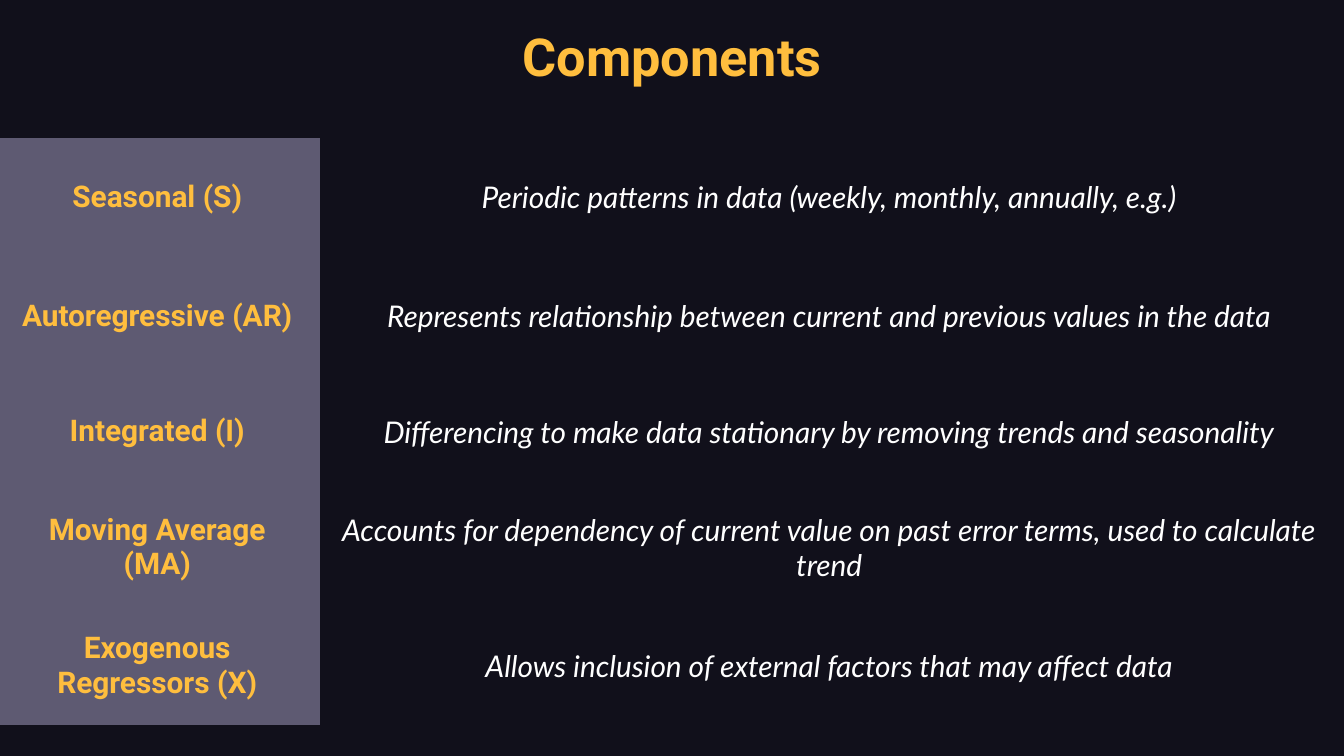
from pptx import Presentation
from pptx.dml.color import RGBColor
from pptx.enum.text import MSO_ANCHOR, PP_ALIGN
from pptx.oxml.ns import qn
from pptx.util import Pt
from lxml.etree import SubElement

COLORS = {
    "background": "11101B",
    "panel": "5E5A72",
    "accent": "FFBE3E",
    "text": "FFFFFF",
}
COMPONENTS = [
    ("Seasonal (S)", "Periodic patterns in data (weekly, monthly, annually, e.g.)"),
    ("Autoregressive (AR)",
     "Represents relationship between current and previous values in the data"),
    ("Integrated (I)",
     "Differencing to make data stationary by removing trends and seasonality"),
    ("Moving Average (MA)",
     "Accounts for dependency of current value on past error terms, used to calculate trend"),
    ("Exogenous Regressors (X)",
     "Allows inclusion of external factors that may affect data"),
]
COLUMN_WIDTHS = (171.5, 548.5)
ROW_HEIGHTS = (63.5, 63.5, 60.5, 63.5, 63.5)


class SlideBuilder:
    heading_font = "Roboto"
    body_font = "Lato"

    def __init__(self, slide):
        self.slide = slide
        background = slide.background.fill
        background.solid()
        background.fore_color.rgb = self.color("background")

    def color(self, name):
        return RGBColor.from_string(COLORS[name])

    def add_text(self, text_frame, text, size, heading):
        paragraph = text_frame.paragraphs[0]
        paragraph.alignment = PP_ALIGN.CENTER
        paragraph.space_before = Pt(0)
        paragraph.line_spacing = 1.0
        run = paragraph.add_run()
        run.text = text
        font = run.font
        font.name = self.heading_font if heading else self.body_font
        font.size = Pt(size)
        font.bold = heading
        font.italic = not heading
        font.color.rgb = self.color("accent" if heading else "text")

    def title(self, text, left, top, width, height):
        shape = self.slide.shapes.title
        shape.left, shape.top = Pt(left), Pt(top)
        shape.width, shape.height = Pt(width), Pt(height)
        frame = shape.text_frame
        frame.word_wrap = True
        frame.vertical_anchor = MSO_ANCHOR.TOP
        frame.margin_left = frame.margin_right = Pt(7.2)
        frame.margin_top = frame.margin_bottom = Pt(7.2)
        self.add_text(frame, text, 28, heading=True)

    def cell(self, cell, text, heading):
        cell.margin_left, cell.margin_right = Pt(10), Pt(13)
        cell.margin_top = cell.margin_bottom = Pt(7.2)
        cell.vertical_anchor = MSO_ANCHOR.MIDDLE
        # Hide the cell borders
        properties = cell._tc.get_or_add_tcPr()
        for side in ("a:lnL", "a:lnR", "a:lnT", "a:lnB"):
            SubElement(SubElement(properties, qn(side)), qn("a:noFill"))
        cell.fill.solid()
        cell.fill.fore_color.rgb = self.color("panel" if heading else "background")
        self.add_text(cell.text_frame, text, 16, heading)

    def table(self, rows, left, top, column_widths, row_heights):
        table = self.slide.shapes.add_table(
            len(rows), len(column_widths), Pt(left), Pt(top),
            Pt(sum(column_widths)), Pt(sum(row_heights))).table
        table.first_row = False
        table.horz_banding = False
        for column, width in zip(table.columns, column_widths):
            column.width = Pt(width)
        for row, height, texts in zip(table.rows, row_heights, rows):
            row.height = Pt(height)
            for index, (cell, text) in enumerate(zip(row.cells, texts)):
                self.cell(cell, text, heading=index == 0)


def main():
    presentation = Presentation()
    presentation.slide_width, presentation.slide_height = Pt(720), Pt(405)
    slide = presentation.slides.add_slide(presentation.slide_layouts[5])
    builder = SlideBuilder(slide)

    # Title
    builder.title("Components", 56.5, 6, 607, 40)

    # Component names and descriptions
    builder.table(COMPONENTS, 0, 74, COLUMN_WIDTHS, ROW_HEIGHTS)

    presentation.save("out.pptx")


if __name__ == "__main__":
    main()
